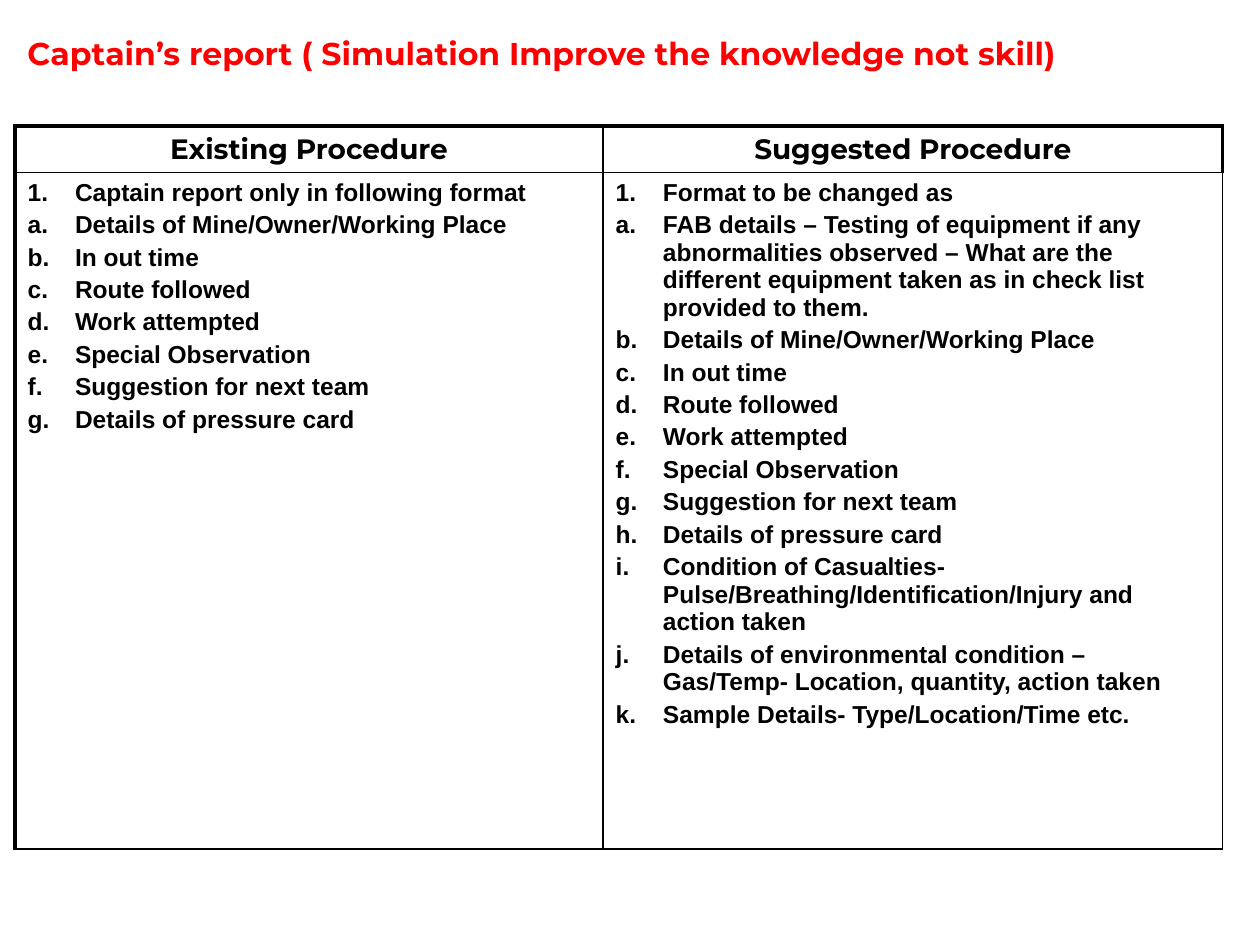
from lxml.etree import SubElement
from pptx import Presentation
from pptx.dml.color import RGBColor
from pptx.enum.text import MSO_ANCHOR as Anchor, PP_ALIGN as Align
from pptx.oxml.ns import qn
from pptx.util import Pt

HEADINGS = ["Existing Procedure", "Suggested Procedure"]
COMMON = [
    "Details of Mine/Owner/Working Place",
    "In out time",
    "Route followed",
    "Work attempted",
    "Special Observation",
    "Suggestion for next team",
    "Details of pressure card",
]
EXISTING = ["Captain report only in following format", *COMMON]
SUGGESTED = [
    "Format to be changed as",
    "FAB details – Testing of equipment if any abnormalities observed – "
    "What are the different equipment taken as in check list provided to them.",
    *COMMON,
    "Condition of Casualties- Pulse/Breathing/Identification/Injury and action taken",
    "Details of environmental condition – Gas/Temp- Location, quantity, action taken",
    "Sample Details- Type/Location/Time etc.",
]


def color(value):
    return RGBColor.from_string(value)


class ReportSlide:
    heading_font = "Montserrat"
    body_font = "Arial"
    ink = "000000"
    accent = "FF0000"
    paper = "FFFFFF"
    thick, thin = 2.25, 1
    indent = 27

    def __init__(self, deck):
        self.slide = deck.slides.add_slide(deck.slide_layouts[6])

    def style(self, paragraph, font, size, ink):
        paragraph.font.name = font
        paragraph.font.size = Pt(size)
        paragraph.font.bold = True
        paragraph.font.color.rgb = color(ink)

    def title(self, text, left, top, width, height):
        frame = self.slide.shapes.add_textbox(
            Pt(left), Pt(top), Pt(width), Pt(height)).text_frame
        frame.word_wrap = True
        frame.vertical_anchor = Anchor.MIDDLE
        frame.text = text
        self.style(frame.paragraphs[0], self.heading_font, 18, self.accent)

    def table(self, left, top, widths, heights):
        table = self.slide.shapes.add_table(
            len(heights), len(widths), Pt(left), Pt(top),
            Pt(sum(widths)), Pt(sum(heights))).table
        table.first_row = table.horz_banding = False
        for column, width in zip(table.columns, widths):
            column.width = Pt(width)
        for row, height in zip(table.rows, heights):
            row.height = Pt(height)
        return table

    def cell(self, cell, left=thin, right=thin, top=thin, bottom=thin):
        properties = cell._tc.get_or_add_tcPr()
        for side, weight in zip("LRTB", (left, right, top, bottom)):
            line = SubElement(properties, qn(f"a:ln{side}"), w=str(Pt(weight)))
            fill = SubElement(line, qn("a:solidFill"))
            SubElement(fill, qn("a:srgbClr"), val=self.ink)
        cell.fill.solid()
        cell.fill.fore_color.rgb = color(self.paper)

    def heading(self, cell, text):
        cell.text = text
        paragraph = cell.text_frame.paragraphs[0]
        paragraph.alignment = Align.CENTER
        self.style(paragraph, self.heading_font, 16, self.ink)

    def numbered_list(self, cell, items):
        cell.text = "\n".join(items)
        for index, paragraph in enumerate(cell.text_frame.paragraphs):
            paragraph.space_before = Pt(2.8)
            self.style(paragraph, self.body_font, 14, self.ink)
            properties = paragraph._p.get_or_add_pPr()
            properties.set("marL", str(Pt(self.indent)))
            properties.set("indent", str(-Pt(self.indent)))
            scheme = "alphaLcPeriod" if index else "arabicPeriod"
            numbering = SubElement(properties, qn("a:buAutoNum"), type=scheme)
            properties.find(qn("a:defRPr")).addprevious(numbering)


def main():
    deck = Presentation()
    deck.slide_width, deck.slide_height = Pt(720), Pt(540)
    report = ReportSlide(deck)
    report.title("Captain’s report ( Simulation Improve the knowledge not skill)",
                 8.64, 6, 690, 48)
    procedures = report.table(8.64, 72, [336, 354], [26.64, 386.64])
    thick = report.thick
    report.cell(procedures.cell(0, 0), left=thick, top=thick)
    report.cell(procedures.cell(0, 1), right=thick, top=thick)
    report.cell(procedures.cell(1, 0), left=thick)
    report.cell(procedures.cell(1, 1))
    for column, (heading, items) in enumerate(zip(HEADINGS, [EXISTING, SUGGESTED])):
        report.heading(procedures.cell(0, column), heading)
        report.numbered_list(procedures.cell(1, column), items)
    deck.save("out.pptx")


if __name__ == "__main__":
    main()
